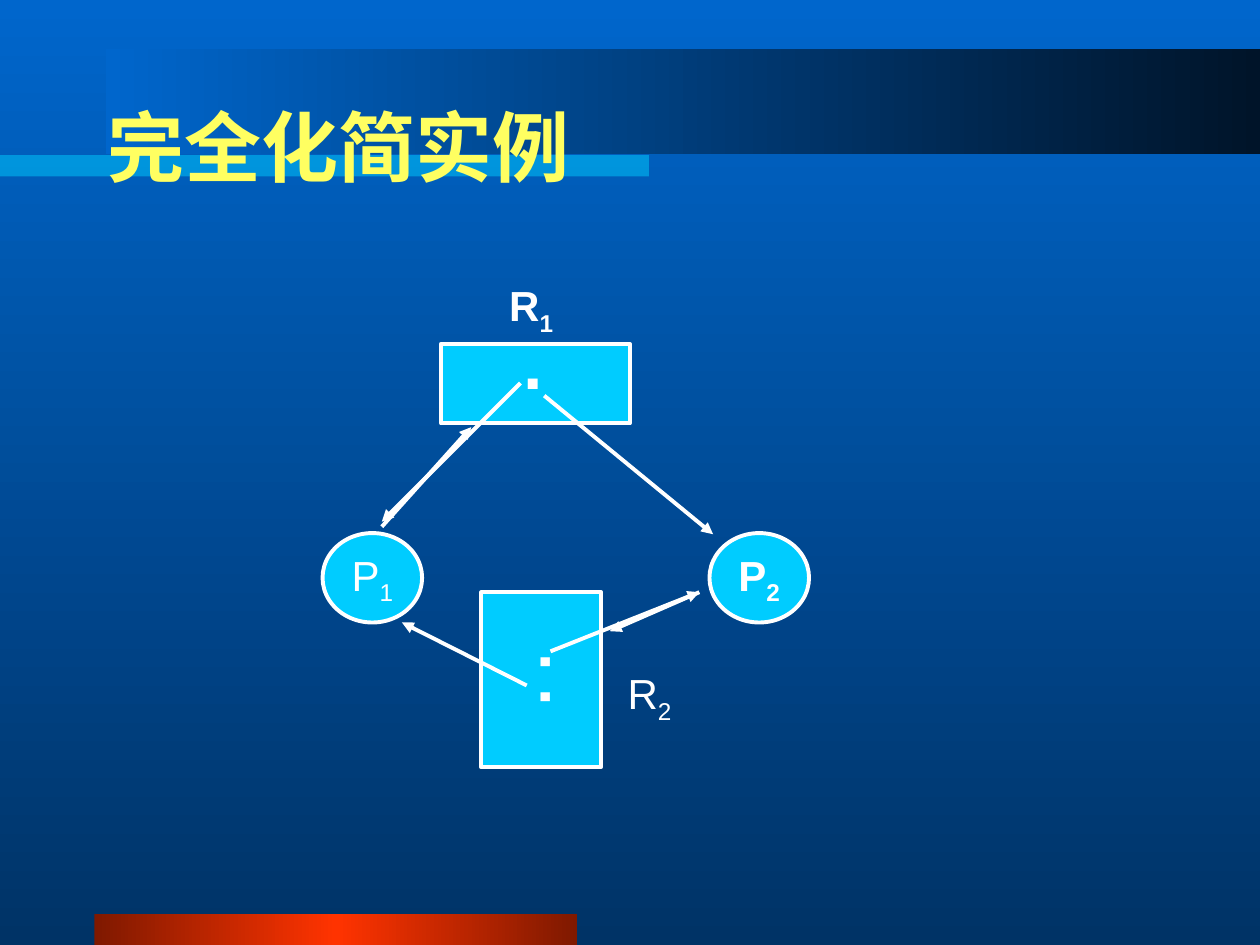
"""Build the slide on full reduction of a resource allocation graph."""
from copy import deepcopy
from dataclasses import dataclass

from lxml import etree
from pptx import Presentation
from pptx import util as u
from pptx.dml.color import RGBColor
from pptx.enum import shapes, text
from pptx.oxml import ns

Box = tuple[float, float, float, float]
Point = tuple[float, float]


@dataclass(frozen=True)
class Theme:
    white: str = "FFFFFF"
    cyan: str = "00CCFF"
    yellow: str = "FFFF61"
    sky: tuple = ("0066CC", "003366")
    night: tuple = ("0066CC", "001429")
    ember: tuple = ("7F1900", "FF3300", "7F1900")
    head: float = 44
    label: float = 24
    dot: float = 40
    pair: float = 36
    line: float = 2.25
    face: str = "Arial"
    serif: str = "Times New Roman"


@dataclass(frozen=True)
class Node:
    box: Box
    oval: bool = False
    name: str = ""
    sub: str = ""
    bold: bool = False


@dataclass(frozen=True)
class Label:
    box: Box
    name: str
    sub: str = ""
    size: float = 24
    bold: bool = True
    wrap: bool = False
    tall: bool = False


@dataclass(frozen=True)
class Arrow:
    start: Point
    tip: Point


LOOK = Theme()
NODES = [
    Node((252, 196.5, 108, 45.5)),
    Node((184.3, 304.6, 56.9, 51.1), True, "P", "1"),
    Node((275, 338.4, 68.4, 100.1)),
    Node((405.4, 304.6, 56.9, 51.1), True, "P", "2", True),
]
LABELS = [
    Label((283.7, 156.2, 39.6, 40.3), "R", "1"),
    Label((292.3, 179.3, 25.2, 55.4), ".", size=LOOK.dot),
    Label((348.5, 378, 45.4, 40.3), "R", "2", bold=False, wrap=True),
    Label((290.9, 366.5, 57.6, 37.4), ". .", size=LOOK.pair, tall=True),
]
ARROWS = [
    Arrow((218.2, 301), (269.3, 244.1)),
    Arrow((301, 391.7), (229.7, 355.7)),
    Arrow((311, 226.1), (407.5, 305.3)),
    Arrow((399.6, 338.4), (348.5, 360.7)),
    Arrow((314.6, 372.2), (399.6, 338.4)),
    Arrow((297.4, 218.9), (218.2, 298.1)),
]


def tint(code: str) -> RGBColor:
    """Turn a hex code into a colour."""
    return RGBColor.from_string(code)


def pts(vals: tuple) -> list:
    """Turn numbers into point lengths."""
    return [u.Pt(val) for val in vals]


def blend(fill, root, codes: tuple, angle: float) -> None:
    """Fill with evenly spaced gradient stops."""
    fill.gradient()
    fill.gradient_angle = angle
    stops = next(root.iter(ns.qn("a:gsLst")))
    for _ in codes[2:]:
        stops.append(deepcopy(stops[-1]))
    for i, (stop, code) in enumerate(zip(fill.gradient_stops, codes)):
        stop.position = i / (len(codes) - 1)
        stop.color.rgb = tint(code)


def add_bar(slide, box: Box, codes: tuple):
    """Draw a decorative bar without an outline."""
    bar = slide.shapes.add_shape(shapes.MSO_SHAPE.RECTANGLE, *pts(box))
    bar.shadow.inherit = False
    bar.line.fill.background()
    if len(codes) > 1:
        blend(bar.fill, bar._element, codes, 0)
    else:
        bar.fill.solid()
        bar.fill.fore_color.rgb = tint(codes[0])
    return bar


def write(frame, name: str, sub: str, size: float, bold: bool) -> None:
    """Write a centred name with an optional subscript."""
    para = frame.paragraphs[0]
    para.text = name
    para.alignment = text.PP_ALIGN.CENTER
    if sub:
        low = para.add_run()
        low.text = sub
        low._r.get_or_add_rPr().set("baseline", "-25000")
    for run in para.runs:
        run.font.name = LOOK.face
        run.font.size = u.Pt(size)
        run.font.bold = bold
        run.font.color.rgb = tint(LOOK.white)


def add_node(slide, node: Node) -> None:
    """Draw a resource box or a process oval."""
    kind = shapes.MSO_SHAPE.OVAL if node.oval else shapes.MSO_SHAPE.RECTANGLE
    item = slide.shapes.add_shape(kind, *pts(node.box))
    item.shadow.inherit = False
    item.fill.solid()
    item.fill.fore_color.rgb = tint(LOOK.cyan)
    item.line.color.rgb = tint(LOOK.white)
    item.line.width = u.Pt(LOOK.line)
    if node.name:
        item.text_frame.word_wrap = False
        write(item.text_frame, node.name, node.sub, LOOK.label, node.bold)


def add_label(slide, label: Label) -> None:
    """Place a text label."""
    frame = slide.shapes.add_textbox(*pts(label.box)).text_frame
    frame.word_wrap = label.wrap
    frame.auto_size = text.MSO_AUTO_SIZE.SHAPE_TO_FIT_TEXT
    if label.tall:
        frame._txBody.bodyPr.set("vert", "eaVert")
        frame.margin_left = frame.margin_right = u.Pt(3.6)
        frame.margin_top = frame.margin_bottom = u.Pt(7.2)
    write(frame, label.name, label.sub, label.size, label.bold)


def add_arrow(slide, arrow: Arrow) -> None:
    """Draw a straight arrow."""
    link = slide.shapes.add_connector(
        shapes.MSO_CONNECTOR.STRAIGHT, *pts(arrow.start + arrow.tip))
    link.line.color.rgb = tint(LOOK.white)
    link.line.width = u.Pt(LOOK.line)
    tail = etree.SubElement(link.line._get_or_add_ln(), ns.qn("a:tailEnd"))
    tail.set("type", "triangle")
    etree.SubElement(link._element.spPr, ns.qn("a:effectLst"))


def add_title(slide, words: str) -> None:
    """Format the title and bring it above the bars."""
    title = slide.shapes.title
    slide.shapes._spTree.append(title._element)
    title.left, title.top, title.width, title.height = pts((54, 38.2, 612, 90))
    frame = title.text_frame
    frame.text = words
    frame.auto_size = text.MSO_AUTO_SIZE.NONE
    frame.vertical_anchor = text.MSO_ANCHOR.MIDDLE
    para = frame.paragraphs[0]
    para.alignment = text.PP_ALIGN.LEFT
    font = para.runs[0].font
    font.name, font.size, font.bold = LOOK.serif, u.Pt(LOOK.head), True
    font.color.rgb = tint(LOOK.yellow)


def main() -> None:
    """Build and save the slide."""
    deck = Presentation()
    deck.slide_width, deck.slide_height = pts((720, 540))
    slide = deck.slides.add_slide(deck.slide_layouts[5])
    blend(slide.background.fill, slide._element, LOOK.sky, 270)
    add_bar(slide, (54, 522, 275.8, 18), LOOK.ember)
    add_bar(slide, (60.5, 28.1, 659.5, 59.8), LOOK.night)
    band = add_bar(slide, (-0.7, 88.6, 371.5, 12.2), (LOOK.cyan,))
    shade = next(band._element.spPr.iter(ns.qn("a:srgbClr")))
    etree.SubElement(shade, ns.qn("a:alpha")).set("val", "50000")
    add_title(slide, "完全化简实例")
    for draw, items in ((add_node, NODES), (add_label, LABELS), (add_arrow, ARROWS)):
        for item in items:
            draw(slide, item)
    deck.save("out.pptx")


if __name__ == "__main__":
    main()
